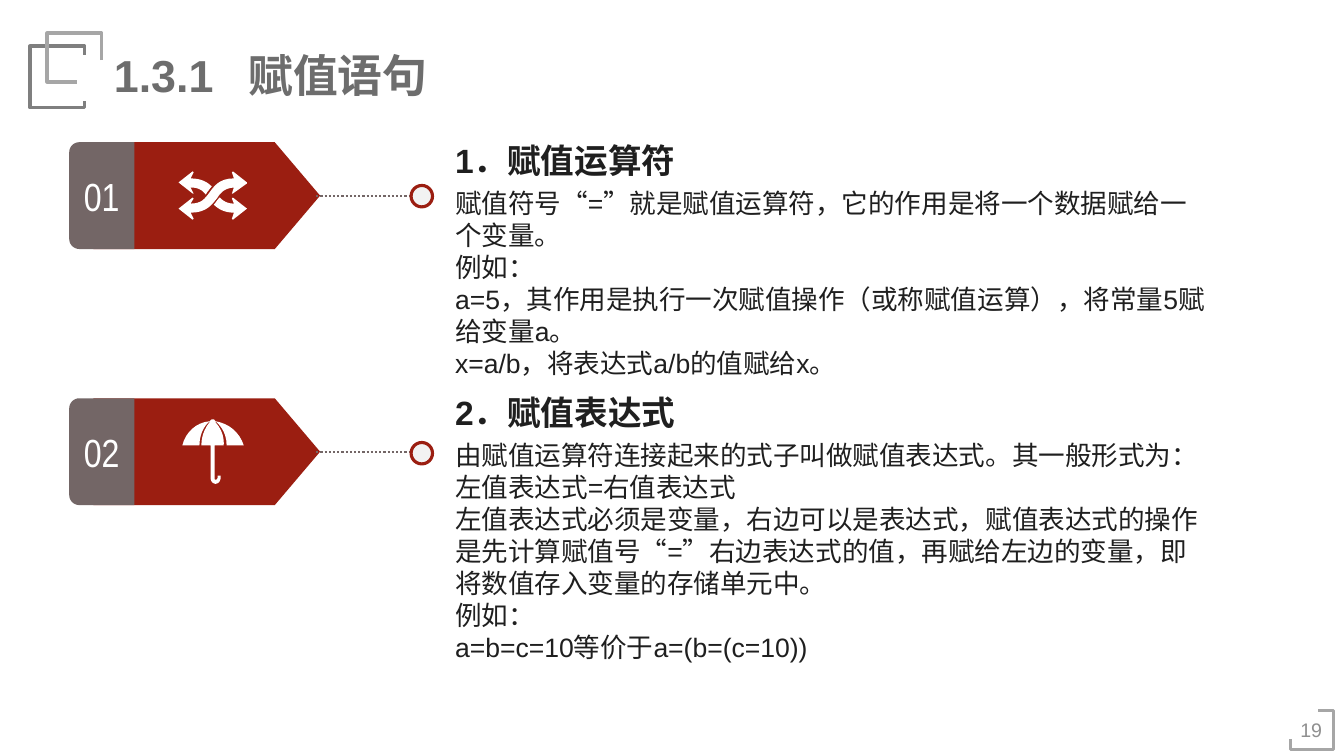
from dataclasses import dataclass

from lxml.etree import SubElement
from pptx import Presentation
from pptx.dml.color import RGBColor
from pptx.enum.dml import MSO_LINE
from pptx.enum.shapes import MSO_CONNECTOR, MSO_SHAPE
from pptx.enum.text import MSO_ANCHOR, PP_ALIGN
from pptx.oxml.ns import qn
from pptx.util import Pt


@dataclass(frozen=True)
class Theme:
    """Colours, fonts and type sizes of the slide."""
    red: str = "9B1E11"
    taupe: str = "736666"
    ink: str = "1F1F1F"
    title: str = "6D6D6D"
    page: str = "8F8F8F"
    dark_frame: str = "7F7F7F"
    light_frame: str = "A6A6A6"
    ring: str = "F2F2F2"
    white: str = "FFFFFF"
    font: str = "Arial"
    number_font: str = "Arial Narrow"
    title_size: float = 32
    number_size: float = 28
    heading_size: float = 24
    body_size: float = 19
    page_size: float = 14


THEME = Theme()
ICON_UNIT = 0.72
ROW_HEIGHT = 76.3
TAB_LEFT, TAB_RIGHT, TAB_RADIUS = 49.5, 96, 7.2

SHUFFLE = [
    [(68, 37), (54, 48), (53, 47), (55, 41), (45, 41, 39, 37, 35, 33),
     (37, 31, 38, 29, 39, 28), (40, 27, 40, 26, 41, 26),
     (44, 29, 48, 32, 55, 32), (53, 27), (54, 26)],
    [(14, 22), (15, 22), (12, 16), (20, 16, 24, 19, 27, 23),
     (28, 22, 28, 21, 29, 20), (30, 19, 31, 17, 33, 15),
     (29, 11, 23, 7, 12, 7), (15, 1), (14, 0), (0, 11)],
    [(38, 27), (42, 21, 45, 17, 55, 16), (53, 22), (54, 22), (68, 12),
     (68, 11), (54, 0), (53, 1), (55, 7), (40, 7, 35, 15, 30, 22),
     (26, 27, 23, 32, 12, 32), (15, 27), (14, 26), (0, 37), (14, 48),
     (15, 47), (12, 41), (28, 41, 33, 33, 38, 27)],
]
UMBRELLA = [
    [(44, 26), (61, 26), (57, 13, 46, 4, 33, 2), (32, 1, 32, 0, 30, 0),
     (29, 0, 28, 1, 27, 2), (14, 3, 3, 13, 0, 26), (17, 26),
     (17, 11, 25, 4, 27, 2), (27, 3), (18, 14, 19, 26, 19, 26), (28, 26),
     (28, 58), (28, 61, 30, 64, 33, 64), (36, 64, 38, 61, 38, 58), (38, 56),
     (35, 56), (35, 58), (35, 59, 34, 60, 33, 60), (32, 60, 32, 59, 32, 58),
     (32, 26), (41, 26), (41, 26, 43, 14, 33, 3), (33, 2),
     (35, 4, 44, 11, 44, 26)],
]
SECTIONS = [
    dict(number="01", top=101.6, ring_top=132.5, text_top=96.5, body_height=144,
         icon=SHUFFLE, icon_at=(127.6, 122.4), heading="1．赋值运算符",
         body=["赋值符号“=”就是赋值运算符，它的作用是将一个数据赋给一个变量。",
               "例如：",
               "a=5，其作用是执行一次赋值操作（或称赋值运算），将常量5赋给变量a。",
               "x=a/b，将表达式a/b的值赋给x。"]),
    dict(number="02", top=284.5, ring_top=316.1, text_top=276.5, body_height=167,
         icon=UMBRELLA, icon_at=(130.3, 299.5), heading="2．赋值表达式",
         body=["由赋值运算符连接起来的式子叫做赋值表达式。其一般形式为：",
               "左值表达式=右值表达式",
               "左值表达式必须是变量，右边可以是表达式，赋值表达式的操作是先计算"
               "赋值号“=”右边表达式的值，再赋给左边的变量，即将数值存入变量的存储单元中。",
               "例如：",
               "a=b=c=10等价于a=(b=(c=10))"]),
]


def rgb(code):
    """Turn a hex code into a colour."""
    return RGBColor.from_string(code)


def format_text(frame, size, color, font=THEME.font, bold=False, align=PP_ALIGN.LEFT):
    """Format every run of a text frame."""
    for para in frame.paragraphs:
        para.alignment = align
        for span in para.runs:
            span.font.size, span.font.bold, span.font.name = Pt(size), bold, font
            span.font.color.rgb = rgb(color)


def add_text(page, lines, left, top, width, height, size, color, **style):
    """Add a wrapping text box with one paragraph per line."""
    box = page.shapes.add_textbox(Pt(left), Pt(top), Pt(width), Pt(height))
    box.text_frame.word_wrap = True
    box.text_frame.text = "\n".join(lines)
    format_text(box.text_frame, size, color, **style)
    return box


def flatten(contour, steps=8):
    """Turn points and cubic curves into a list of points."""
    points = [contour[0]]
    for part in contour[1:]:
        if len(part) == 2:
            points.append(part)
            continue
        (x0, y0), (x1, y1, x2, y2, x3, y3) = points[-1], part
        for step in range(1, steps + 1):
            t = step / steps
            a, b, c, d = (1 - t) ** 3, 3 * t * (1 - t) ** 2, 3 * t * t * (1 - t), t ** 3
            points.append((a * x0 + b * x1 + c * x2 + d * x3,
                           a * y0 + b * y1 + c * y2 + d * y3))
    return points


def add_outline(page, contours, left=0, top=0, unit=1, close=True):
    """Build a freeform from contours on a grid of the given unit."""
    builder = None
    for contour in contours:
        points = [(Pt(left + x * unit), Pt(top + y * unit)) for x, y in flatten(contour)]
        if builder is None:
            builder = page.shapes.build_freeform(*points[0], scale=1.0)
        else:
            builder.move_to(*points[0])
        builder.add_line_segments(points[1:], close=close)
    shape = builder.convert_to_shape()
    shape.shadow.inherit = False
    return shape


def paint(shape, fill, line=None, width=0):
    """Set the fill and line of a shape, either of them absent if None."""
    shape.shadow.inherit = False
    for part, color in ((shape.fill, fill), (shape.line.fill, line)):
        if color:
            part.solid()
            part.fore_color.rgb = rgb(color)
        else:
            part.background()
    if line:
        shape.line.width = Pt(width)


def add_frame(page, points, color, width):
    """Draw an open bracket."""
    paint(add_outline(page, [points], close=False), None, color, width)


def add_title(page, text):
    """Place and format the title, with a tab stop after its number."""
    title = page.shapes.title
    title.left, title.top, title.width, title.height = Pt(74.2), Pt(30.2), Pt(260), Pt(45.4)
    frame = title.text_frame
    frame.text = text
    frame.word_wrap, frame.vertical_anchor = True, MSO_ANCHOR.TOP
    tabs = SubElement(frame.paragraphs[0]._p.get_or_add_pPr(), qn("a:tabLst"))
    SubElement(tabs, qn("a:tab"), pos=str(Pt(96)), algn="l")
    format_text(frame, THEME.title_size, THEME.title, bold=True)


def add_leader(page, y):
    """Draw the dotted line from the arrow tip to the ring."""
    leader = page.shapes.add_connector(MSO_CONNECTOR.STRAIGHT, Pt(226), Pt(y), Pt(293.8), Pt(y))
    leader.line.color.rgb = rgb(THEME.taupe)
    leader.line.width = Pt(1.5)
    leader.line.dash_style = MSO_LINE.ROUND_DOT
    SubElement(leader._element.spPr, qn("a:effectLst"))


def add_number_tab(page, number, top):
    """Draw the numbered tab with rounded left corners."""
    left, right, radius, bottom = TAB_LEFT, TAB_RIGHT, TAB_RADIUS, top + ROW_HEIGHT
    bend = radius * 0.45
    tab = add_outline(page, [[
        (left, bottom - radius), (left, top + radius),
        (left, top + bend, left + bend, top, left + radius, top),
        (right, top), (right, bottom), (left + radius, bottom),
        (left + bend, bottom, left, bottom - bend, left, bottom - radius)]])
    paint(tab, THEME.taupe)
    frame = tab.text_frame
    frame.margin_left = frame.margin_right = 0
    frame.text, frame.vertical_anchor = number, MSO_ANCHOR.MIDDLE
    format_text(frame, THEME.number_size, THEME.white, THEME.number_font, align=PP_ALIGN.CENTER)


def add_section(page, number, top, ring_top, text_top, body_height, icon, icon_at, heading, body):
    """Draw one numbered arrow with its ring, heading and text."""
    add_text(page, [heading], 318.2, text_top, 214, 36, THEME.heading_size, THEME.ink, bold=True)
    add_text(page, body, 318.2, text_top + 33.8, 555, body_height, THEME.body_size, THEME.ink)
    arrow = page.shapes.add_shape(MSO_SHAPE.FLOWCHART_OFFPAGE_CONNECTOR, Pt(109.6),
                                  Pt(top + ROW_HEIGHT / 2 - 81), Pt(ROW_HEIGHT), Pt(162))
    arrow.rotation = 270
    paint(arrow, THEME.red)
    add_number_tab(page, number, top)
    add_leader(page, top + ROW_HEIGHT / 2)
    ring = page.shapes.add_shape(MSO_SHAPE.OVAL, Pt(293.8), Pt(ring_top), Pt(15.3), Pt(15.3))
    paint(ring, THEME.ring, THEME.red, 2.25)
    paint(add_outline(page, icon, *icon_at, unit=ICON_UNIT), THEME.white)


def main():
    """Build the slide and save it."""
    deck = Presentation()
    deck.slide_width, deck.slide_height = Pt(960.5), Pt(540)
    page = deck.slides.add_slide(deck.slide_layouts[5])
    add_frame(page, [(60.5, 39), (60.5, 33), (21.5, 33), (21.5, 77), (60.5, 77), (60.5, 72)],
              THEME.dark_frame, 2.5)
    add_frame(page, [(72.7, 43), (72.7, 23.6), (33.8, 23.6), (33.8, 58.5), (55, 58.5)],
              THEME.light_frame, 2.5)
    add_frame(page, [(922, 528), (922, 535.3), (953, 535.3), (953, 507.8), (942, 507.8)],
              THEME.light_frame, 2)
    add_title(page, "1.3.1\t赋值语句")
    for section in SECTIONS:
        add_section(page, **section)
    number = add_text(page, ["19"], 921.6, 501.8, 42, 38.9, THEME.page_size, THEME.page,
                      align=PP_ALIGN.CENTER)
    number.width = Pt(31)
    number.text_frame.vertical_anchor = MSO_ANCHOR.MIDDLE
    deck.save("out.pptx")


if __name__ == "__main__":
    main()
